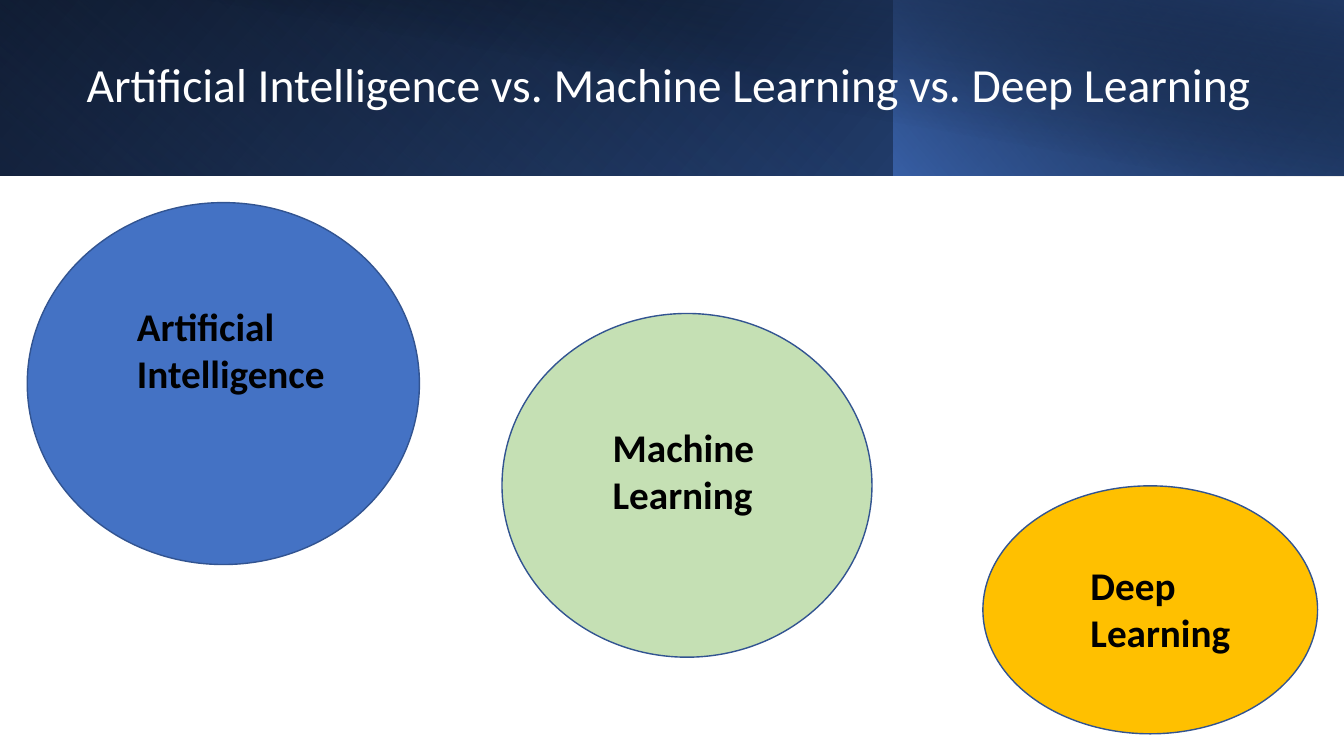
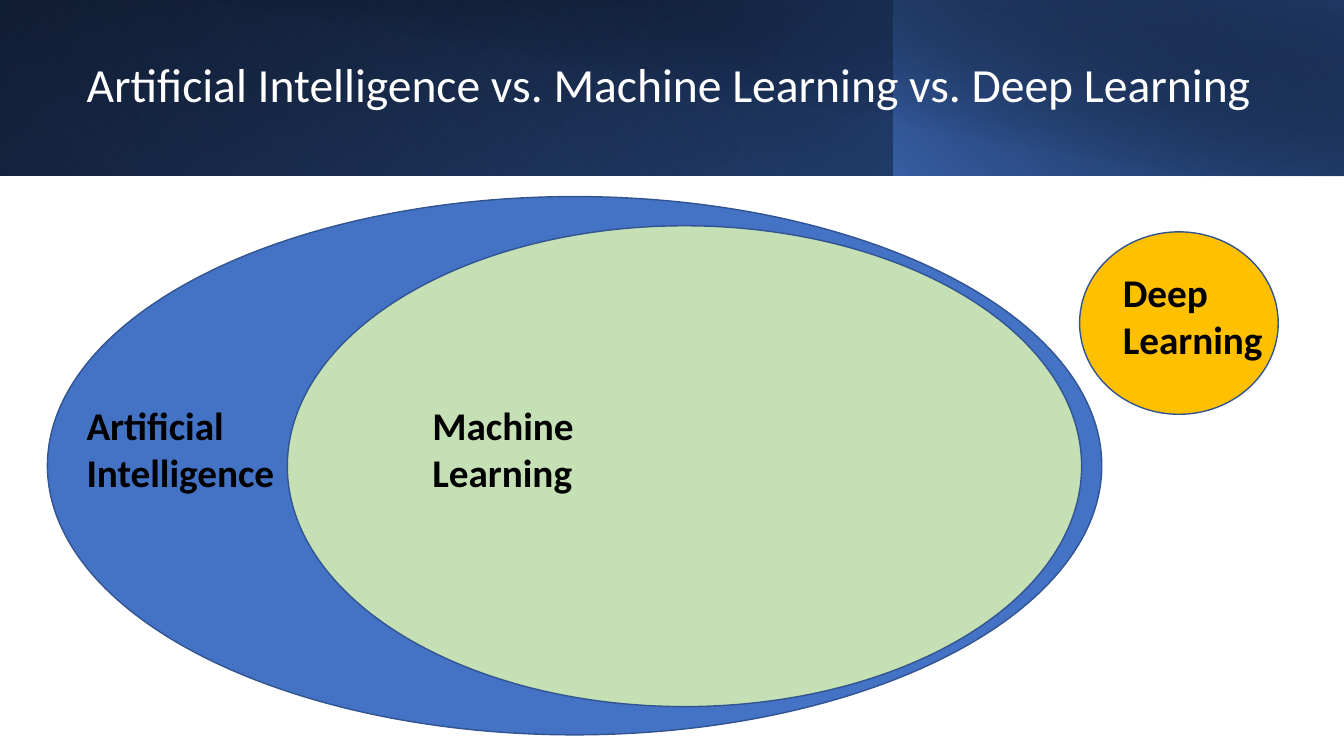
from dataclasses import dataclass
from lxml.etree import SubElement
from pptx import Presentation
from pptx.dml.color import RGBColor
from pptx.enum.shapes import MSO_SHAPE
from pptx.enum.text import MSO_ANCHOR
from pptx.oxml.ns import qn
from pptx.util import Inches, Pt


@dataclass(frozen=True)
class Theme:
    font: str = "Calibri"
    title_size: int = 34
    label_size: int = 28
    white: str = "FFFFFF"
    black: str = "000000"
    blue: str = "4472C4"
    green: str = "C5E0B4"
    amber: str = "FFC000"
    outline: str = "325491"
    navy: str = "203864"
    royal: str = "2F5597"


@dataclass(frozen=True)
class Box:
    left: float
    top: float
    width: float
    height: float

    def region(self, left, top, width, height):
        return Box(
            self.left + self.width * left / 100,
            self.top + self.height * top / 100,
            self.width * width / 100,
            self.height * height / 100,
        )

    def inches(self):
        return [Inches(side) for side in (self.left, self.top, self.width, self.height)]


THEME = Theme()
SLIDE = Box(0, 0, 13.33, 7.5)
BAND = SLIDE.region(0, 0, 100, 23.2)
BODY = SLIDE.region(0, 23.2, 100, 76.8)
LABEL_HEIGHT = 18.06
TITLE = "Artificial Intelligence vs. Machine Learning vs. Deep Learning"

BAND_LAYERS = [
    ((0, 0, 100, 100), 140, True, 0, [(0, THEME.black, 100), (100, THEME.royal, 100)]),
    ((0, 0, 66.6, 100), 230, True, 180, [(20, THEME.blue, 0), (100, THEME.navy, 55)]),
    ((66.5, 0, 33.5, 100), 220, True, 0, [(0, THEME.blue, 66), (100, THEME.black, 30)]),
    ((3.75, 0, 96.25, 100.6), 280, False, 0, [(50, THEME.black, 0), (99, THEME.navy, 52)]),
]

FIELDS = [
    ("Artificial Intelligence", THEME.blue),
    ("Machine Learning", THEME.green),
    ("Deep Learning", THEME.amber),
]

SEPARATE_FIELDS = [
    ((2.03, 4.69, 29.18, 62.33), (9.45, 21.01, 15.68)),
    ((37.35, 23.78, 27.53, 59.2), (44.85, 41.84, 15.68)),
    ((73.13, 53.47, 24.9, 42.71), (80.4, 65.63, 12.38)),
]

NESTED_FIELDS = [
    ((3.53, 3.65, 78.45, 92.71), (5.7, 38.02, 15.68)),
    ((21.38, 8.68, 59.1, 82.81), (31.43, 38.02, 15.68)),
    ((80.33, 9.72, 14.78, 31.42), (82.8, 15.1, 11.93)),
]


def apply_format(target, values):
    for name, value in values.items():
        setattr(target, name, value)


def add_text(page, box, text, color, frame_format, para_format, font_format):
    frame = page.shapes.add_textbox(*box.inches()).text_frame
    apply_format(frame, {"word_wrap": True, **frame_format})
    para = frame.paragraphs[0]
    apply_format(para, para_format)
    span = para.add_run()
    span.text = text
    apply_format(span.font, {"name": THEME.font, **font_format})
    span.font.color.rgb = RGBColor.from_string(color)


def set_gradient(shape, angle, stops):
    shape.fill.gradient()
    gradient = shape._element.spPr.find(qn("a:gradFill"))
    for child in list(gradient):
        gradient.remove(child)
    gradient.set("rotWithShape", "1")
    stop_list = SubElement(gradient, qn("a:gsLst"))
    for position, color, opacity in stops:
        stop = SubElement(stop_list, qn("a:gs"), pos=str(position * 1000))
        tint = SubElement(stop, qn("a:srgbClr"), val=color)
        if opacity < 100:
            SubElement(tint, qn("a:alpha"), val=str(opacity * 1000))
    SubElement(gradient, qn("a:lin"), ang=str(angle * 60000), scaled="0")


def add_band(page, box):
    for share, angle, flipped, rotation, stops in BAND_LAYERS:
        layer = page.shapes.add_shape(MSO_SHAPE.RECTANGLE, *box.region(*share).inches())
        layer.shadow.inherit = False
        layer.line.fill.background()
        layer.rotation = rotation
        if flipped:
            layer._element.spPr.find(qn("a:xfrm")).set("flipH", "1")
        set_gradient(layer, angle, stops)
    add_text(
        page, box.region(5.7, 17.24, 88.65, 64.94), TITLE, THEME.white,
        {"vertical_anchor": MSO_ANCHOR.MIDDLE},
        {"line_spacing": 0.9},
        {"size": Pt(THEME.title_size)},
    )


def add_ellipse(page, box, color):
    ellipse = page.shapes.add_shape(MSO_SHAPE.OVAL, *box.inches())
    ellipse.shadow.inherit = False
    ellipse.fill.solid()
    ellipse.fill.fore_color.rgb = RGBColor.from_string(color)
    ellipse.line.color.rgb = RGBColor.from_string(THEME.outline)
    ellipse.line.width = Pt(1)


def add_fields(page, box, places):
    for (_, color), (ellipse_share, _) in zip(FIELDS, places):
        add_ellipse(page, box.region(*ellipse_share), color)
    for (name, _), (_, label_share) in zip(FIELDS, places):
        add_text(
            page, box.region(*label_share, LABEL_HEIGHT), name, THEME.black,
            {}, {}, {"size": Pt(THEME.label_size), "bold": True},
        )


def main():
    deck = Presentation()
    apply_format(deck, {
        "slide_width": Inches(SLIDE.width),
        "slide_height": Inches(SLIDE.height),
    })
    for places in (SEPARATE_FIELDS, NESTED_FIELDS):
        page = deck.slides.add_slide(deck.slide_layouts[6])
        add_band(page, BAND)
        add_fields(page, BODY, places)
    deck.save("out.pptx")


if __name__ == "__main__":
    main()
